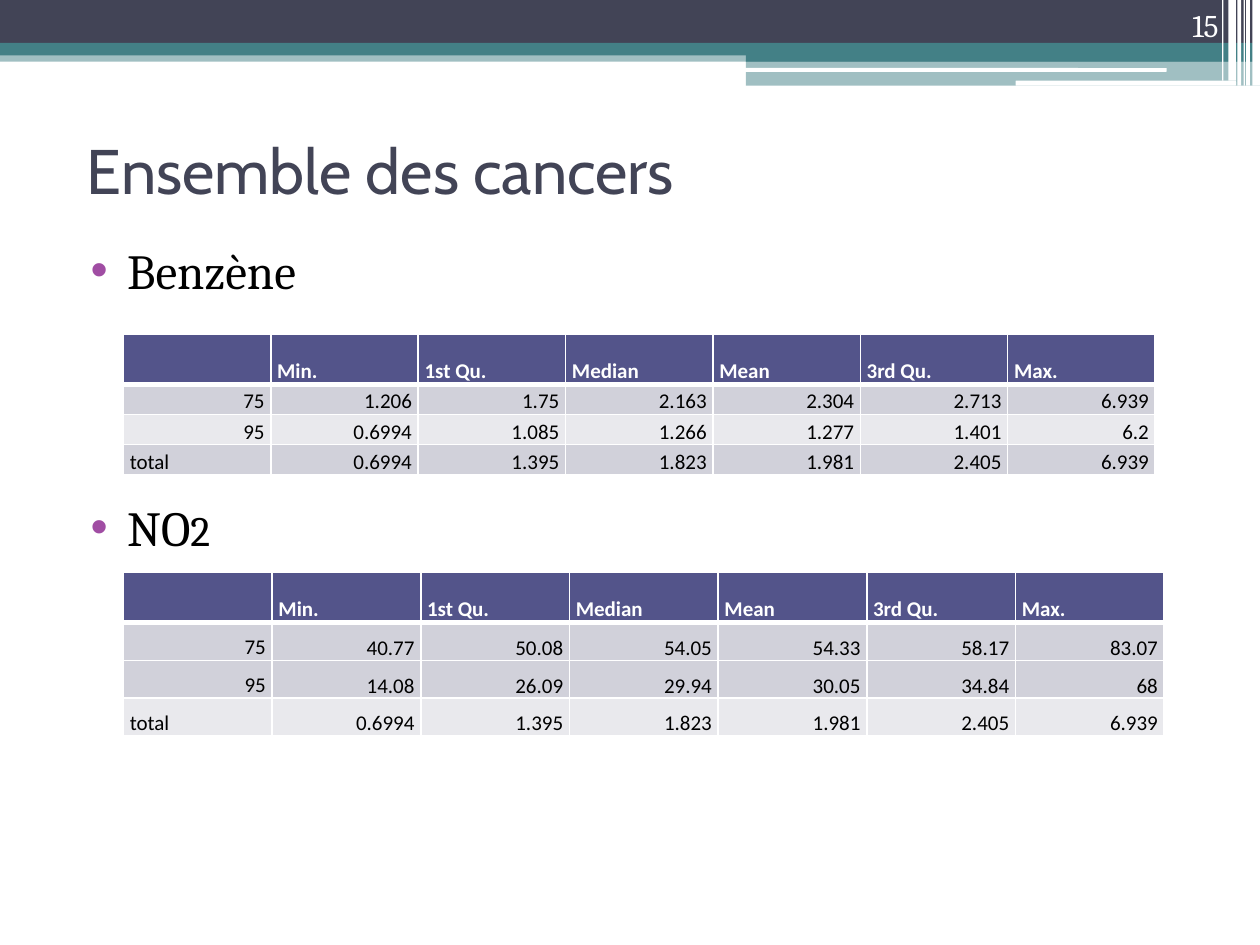
from dataclasses import dataclass

from lxml.etree import SubElement
from pptx import Presentation
from pptx.dml.color import RGBColor
from pptx.enum.shapes import MSO_SHAPE
from pptx.enum.text import MSO_ANCHOR, MSO_AUTO_SIZE, PP_ALIGN
from pptx.oxml import parse_xml
from pptx.oxml.ns import nsdecls, qn
from pptx.util import Inches, Pt


@dataclass(frozen=True)
class Theme:
    navy: str = "424456"
    teal: str = "438086"
    white: str = "FFFFFF"
    black: str = "000000"
    bullet: str = "A04DA3"
    header: str = "53548A"
    dark_band: str = "D1D1DA"
    light_band: str = "E9E9ED"
    title_font: str = "Cabin"
    body_font: str = "Cambria"
    table_font: str = "Calibri"
    title_size: int = 36
    body_size: int = 28
    digit_size: int = 24
    number_size: int = 18
    table_size: int = 12


class SlideBuilder:
    def __init__(self, presentation, theme):
        self.theme = theme
        self.slide = presentation.slides.add_slide(presentation.slide_layouts[1])

    def style(self, run, font, size, color, bold=False):
        run.font.name = font
        run.font.size = Pt(size)
        run.font.color.rgb = RGBColor.from_string(color)
        run.font.bold = bold

    def place(self, shape, left, top, width, height):
        shape.left, shape.top = Inches(left), Inches(top)
        shape.width, shape.height = Inches(width), Inches(height)

    def bar(self, left, top, width, height, color, alpha=None, rounded=False):
        kind = MSO_SHAPE.ROUNDED_RECTANGLE if rounded else MSO_SHAPE.RECTANGLE
        bar = self.slide.shapes.add_shape(
            kind, Inches(left), Inches(top), Inches(width), Inches(height))
        bar.shadow.inherit = False
        bar.line.fill.background()
        bar.fill.solid()
        bar.fill.fore_color.rgb = RGBColor.from_string(color)
        if alpha:
            tint = bar.fill._xPr.find(qn("a:solidFill"))[0]
            SubElement(tint, qn("a:alpha"), val=str(alpha * 1000))

    def title(self, text, *box):
        title = self.slide.shapes.title
        self.place(title, *box)
        frame = title.text_frame
        frame.text = text
        frame.auto_size = MSO_AUTO_SIZE.NONE
        frame.vertical_anchor = MSO_ANCHOR.MIDDLE
        frame.paragraphs[0].alignment = PP_ALIGN.LEFT
        self.style(frame.paragraphs[0].runs[0], self.theme.title_font,
                   self.theme.title_size, self.theme.navy)

    def bullets(self, items, *box):
        """Each item is its runs as (text, size) pairs and the space before it."""
        body = self.slide.placeholders[1]
        self.place(body, *box)
        frame = body.text_frame
        frame.auto_size = MSO_AUTO_SIZE.NONE
        for index, (pieces, space) in enumerate(items):
            item = frame.add_paragraph() if index else frame.paragraphs[0]
            item.space_before = Pt(space)
            for text, size in pieces:
                run = item.add_run()
                run.text = text
                self.style(run, self.theme.body_font, size, self.theme.black)
            props = item._p.get_or_add_pPr()
            props.set("marL", str(Inches(0.4)))
            props.set("indent", str(Inches(-0.29)))
            color = SubElement(props, qn("a:buClr"))
            SubElement(color, qn("a:srgbClr"), val=self.theme.bullet)
            SubElement(props, qn("a:buFont"), typeface="Arial")
            SubElement(props, qn("a:buChar"), char="•")

    def slide_number(self, text, *box):
        number = self.slide.shapes.add_textbox(*map(Inches, box))
        frame = number.text_frame
        frame.word_wrap = True
        frame.vertical_anchor = MSO_ANCHOR.BOTTOM
        frame.text = text
        frame.paragraphs[0].alignment = PP_ALIGN.RIGHT
        self.style(frame.paragraphs[0].runs[0], self.theme.body_font,
                   self.theme.number_size, self.theme.white)

    def borders(self, cell, top, bottom):
        props = cell._tc.get_or_add_tcPr()
        widths = (("lnL", 1), ("lnR", 1), ("lnT", top), ("lnB", bottom))
        for position, (side, width) in enumerate(widths):
            props.insert(position, parse_xml(
                f'<a:{side} {nsdecls("a")} w="{Pt(width)}"><a:solidFill>'
                f'<a:srgbClr val="{self.theme.white}"/></a:solidFill></a:{side}>'))

    def cell(self, cell, text, fill, is_header, spacing):
        cell.fill.solid()
        cell.fill.fore_color.rgb = RGBColor.from_string(fill)
        cell.vertical_anchor = MSO_ANCHOR.BOTTOM
        cell.margin_left = cell.margin_right = Inches(0.05)
        cell.margin_top = cell.margin_bottom = 0
        cell.text_frame.text = text
        paragraph = cell.text_frame.paragraphs[0]
        paragraph.line_spacing = spacing
        is_value = text.replace(".", "").isdigit()
        paragraph.alignment = PP_ALIGN.RIGHT if is_value else PP_ALIGN.LEFT
        color = self.theme.white if is_header else self.theme.black
        for run in paragraph.runs:
            self.style(run, self.theme.table_font, self.theme.table_size, color, is_header)

    def table(self, rows, bands, left, top, column_width, row_height, loose_rows=()):
        header_height = 0.4
        count = len(rows[0])
        table = self.slide.shapes.add_table(
            len(rows), count, Inches(left), Inches(top), Inches(column_width * count),
            Inches(header_height + row_height * (len(rows) - 1))).table
        for column in table.columns:
            column.width = Inches(column_width)
        fills = (self.theme.header, *bands)
        for r, values in enumerate(rows):
            table.rows[r].height = Inches(row_height if r else header_height)
            for c, text in enumerate(values):
                spacing = 1.5 if r in loose_rows and c else 1.15
                self.cell(table.cell(r, c), text, fills[r], r == 0, spacing)
                self.borders(table.cell(r, c), 3 if r == 1 else 1, 3 if r == 0 else 1)


theme = Theme()
presentation = Presentation()
presentation.slide_width, presentation.slide_height = Inches(10), Inches(7.5)
page = SlideBuilder(presentation, theme)

# Header band
page.bar(0, 0.4, 10, 0.09, theme.teal, alpha=50)
page.bar(0, 0, 10, 0.34, theme.navy)
page.bar(0, 0.34, 10, 0.1, theme.teal)
page.bar(5.92, 0.39, 4.08, 0.1, theme.teal)
page.bar(5.92, 0.48, 4.08, 0.2, theme.teal, alpha=50)
page.bar(5.91, 0.54, 3.35, 0.03, theme.white, rounded=True)
page.bar(8.06, 0.64, 1.75, 0.04, theme.white, rounded=True)

# Vertical stripes at the right edge
for left, width, height in ((9.94, 0.06, 0.68), (9.89, 0.03, 0.68), (9.87, 0.01, 0.68),
                            (9.82, 0.03, 0.68), (9.75, 0.06, 0.64), (9.7, 0.01, 0.64)):
    page.bar(left, 0, width, height, theme.white)

# Title, pollutants and slide number
page.title("Ensemble des cancers", 0.59, 0.76, 9, 1.17)
page.bullets([([("Benzène", theme.body_size)], 0),
              ([("NO", theme.body_size), ("2", theme.digit_size)], 113)],
             0.51, 1.86, 9, 4.73)
page.slide_number("15", 8.94, 0, 0.83, 0.4)

# Exposure statistics
statistics = ("", "Min.", "1st Qu.", "Median", "Mean", "3rd Qu.", "Max.")
total = ("total", "0.6994", "1.395", "1.823", "1.981", "2.405", "6.939")
benzene = (statistics,
           ("75", "1.206", "1.75", "2.163", "2.304", "2.713", "6.939"),
           ("95", "0.6994", "1.085", "1.266", "1.277", "1.401", "6.2"),
           total)
nitrogen_dioxide = (statistics,
                    ("75", "40.77", "50.08", "54.05", "54.33", "58.17", "83.07"),
                    ("95", "14.08", "26.09", "29.94", "30.05", "34.84", "68"),
                    total)
page.table(benzene, (theme.dark_band, theme.light_band, theme.dark_band),
           0.98, 2.65, 1.17, 0.24)
page.table(nitrogen_dioxide, (theme.dark_band, theme.dark_band, theme.light_band),
           0.98, 4.54, 1.18, 0.3, loose_rows=(1, 2))

presentation.save("out.pptx")
